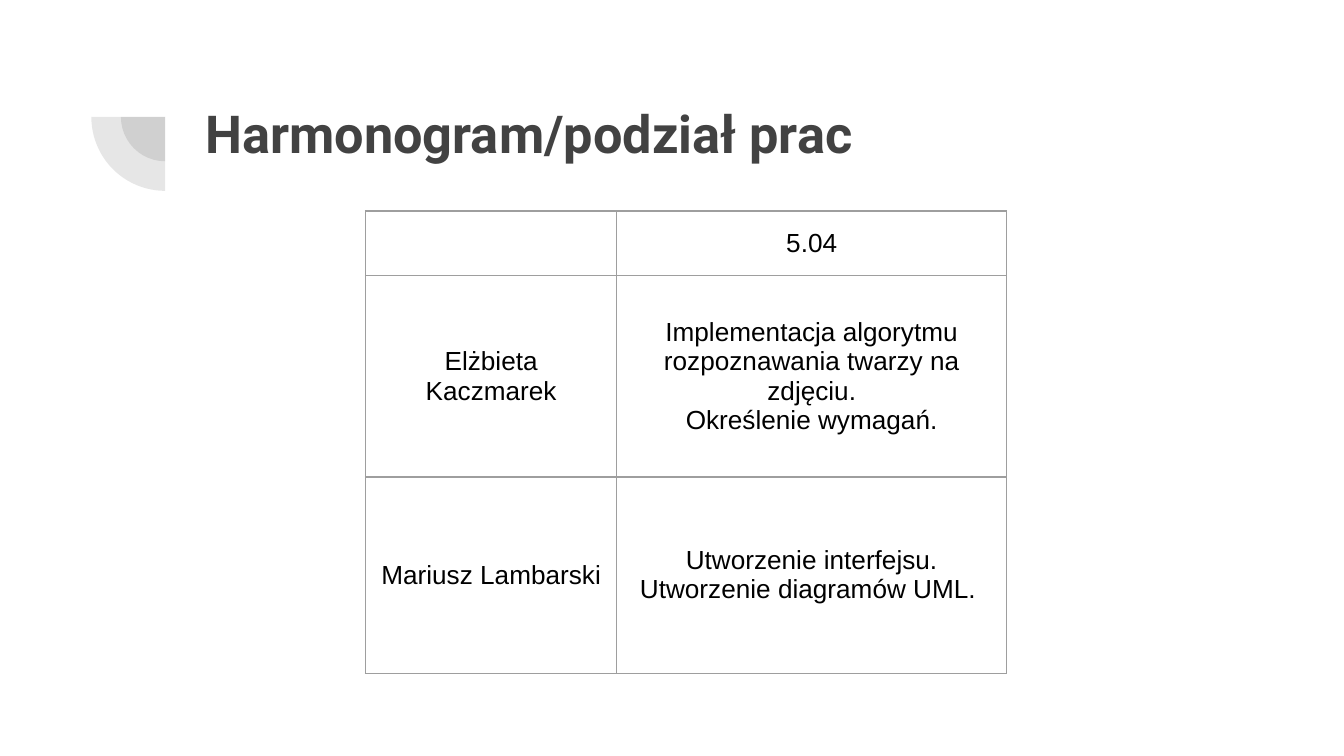
from lxml.etree import SubElement
from pptx import Presentation
from pptx.dml.color import RGBColor
from pptx.enum.shapes import MSO_SHAPE
from pptx.enum.text import MSO_ANCHOR, PP_ALIGN
from pptx.oxml.ns import qn
from pptx.util import Inches, Pt

DARK_GRAY = RGBColor(0x42, 0x42, 0x42)
BORDER_GRAY = RGBColor(0x9E, 0x9E, 0x9E)
BLACK = RGBColor(0x00, 0x00, 0x00)

COLUMN_WIDTHS = [1.87, 2.9]
ROW_HEIGHTS = [0.48, 1.5, 1.46]
SCHEDULE = [
    [[], ["5.04"]],
    [["Elżbieta Kaczmarek"],
     ["Implementacja algorytmu rozpoznawania twarzy na zdjęciu.", "Określenie wymagań."]],
    [["Mariusz Lambarski"], ["Utworzenie interfejsu.", "Utworzenie diagramów UML. "]],
]


class SlideBuilder:
    title_font, title_size = "Roboto", Pt(28)
    body_font, body_size = "Arial", Pt(14)
    margin = Inches(0.1)
    border_width = Pt(0.75)

    def __init__(self, slide):
        self.slide = slide

    def add_run(self, paragraph, text, font_name, size, color, bold=False):
        run = paragraph.add_run()
        run.text = text
        run.font.name = font_name
        run.font.size = size
        run.font.bold = bold
        run.font.color.rgb = color

    def add_quarter_circle(self, center_x, center_y, radius):
        """Draw the lower-left quarter of a circle in translucent gray."""
        shape = self.slide.shapes.add_shape(
            MSO_SHAPE.PIE, Inches(center_x - radius), Inches(center_y - radius),
            Inches(2 * radius), Inches(2 * radius))
        shape.adjustments[0] = 108
        shape.adjustments[1] = 162
        shape.rotation = 270
        shape.shadow.inherit = False
        shape.line.fill.background()
        shape.fill.solid()
        shape.fill.fore_color.rgb = DARK_GRAY
        color = shape.fill._xPr.find(".//" + qn("a:srgbClr"))
        SubElement(color, qn("a:alpha"), val="13000")

    def add_title(self, text, left, top, width, height):
        frame = self.slide.shapes.add_textbox(
            Inches(left), Inches(top), Inches(width), Inches(height)).text_frame
        frame.word_wrap = True
        frame.margin_left = frame.margin_right = self.margin
        frame.margin_top = frame.margin_bottom = self.margin
        self.add_run(frame.paragraphs[0], text, self.title_font, self.title_size,
                     DARK_GRAY, bold=True)

    def add_table(self, left, top, column_widths, row_heights, rows):
        table = self.slide.shapes.add_table(
            len(rows), len(column_widths), Inches(left), Inches(top),
            Inches(sum(column_widths)), Inches(sum(row_heights))).table
        table.first_row = table.horz_banding = False
        for column, width in zip(table.columns, column_widths):
            column.width = Inches(width)
        for row, height, texts in zip(table.rows, row_heights, rows):
            row.height = Inches(height)
            for cell, lines in zip(row.cells, texts):
                self.fill_cell(cell, lines)

    def fill_cell(self, cell, lines):
        cell.vertical_anchor = MSO_ANCHOR.MIDDLE
        cell.margin_left = cell.margin_right = self.margin
        cell.margin_top = cell.margin_bottom = self.margin
        self.add_borders(cell)
        cell.fill.background()
        frame = cell.text_frame
        if not lines:
            SubElement(frame.paragraphs[0]._p, qn("a:endParaRPr"),
                       sz=str(int(self.body_size.pt * 100)))
        for index, line in enumerate(lines):
            paragraph = frame.add_paragraph() if index else frame.paragraphs[0]
            paragraph.alignment = PP_ALIGN.CENTER
            self.add_run(paragraph, line, self.body_font, self.body_size, BLACK)

    def add_borders(self, cell):
        properties = cell._tc.get_or_add_tcPr()
        for side in ("lnL", "lnR", "lnT", "lnB"):
            line = SubElement(properties, qn(f"a:{side}"), w=str(self.border_width))
            fill = SubElement(line, qn("a:solidFill"))
            SubElement(fill, qn("a:srgbClr"), val=str(BORDER_GRAY))


def main():
    presentation = Presentation()
    presentation.slide_width = Inches(10)
    presentation.slide_height = Inches(5.625)
    builder = SlideBuilder(presentation.slides.add_slide(presentation.slide_layouts[6]))
    for radius in (0.33, 0.55):
        builder.add_quarter_circle(1.23, 0.87, radius)
    builder.add_title("Harmonogram/podział prac", 1.43, 0.65, 7.69, 1.09)
    builder.add_table(2.72, 1.57, COLUMN_WIDTHS, ROW_HEIGHTS, SCHEDULE)
    presentation.save("out.pptx")


if __name__ == "__main__":
    main()
